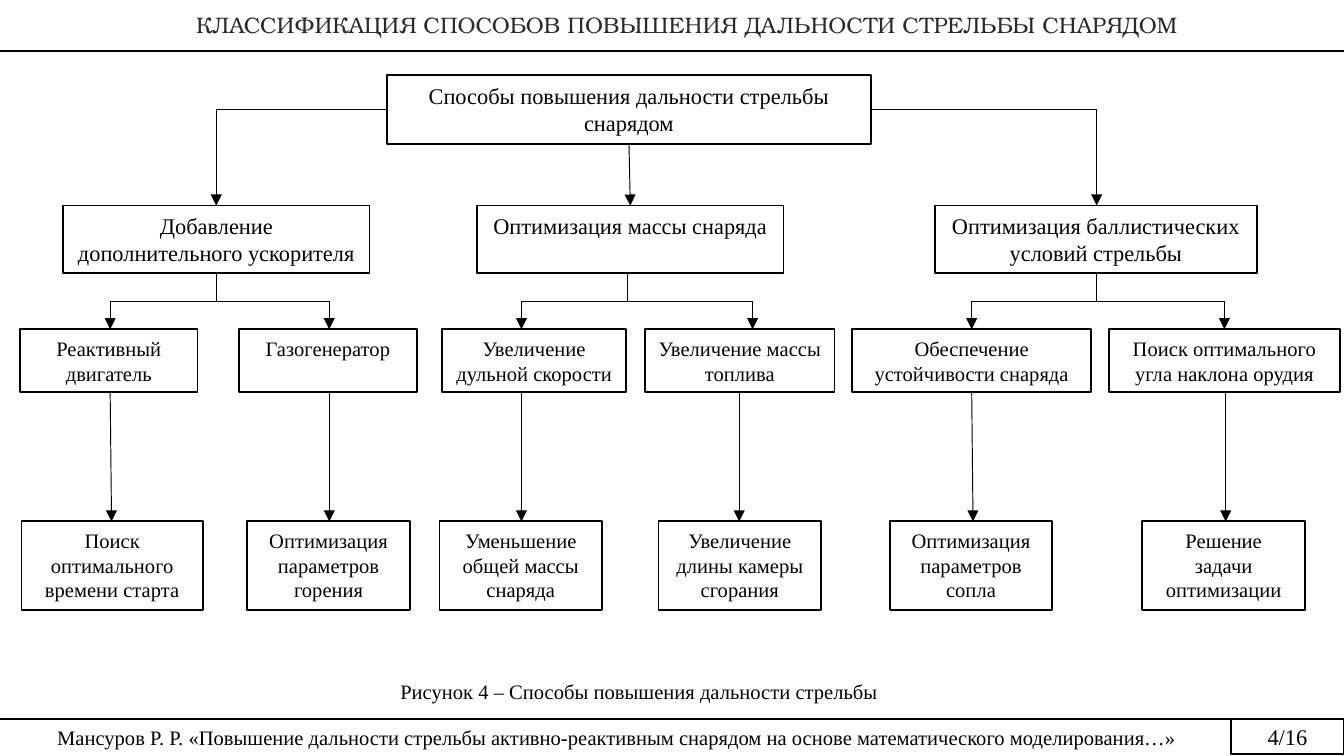
"""Build a slide with a classification tree of ways to extend firing range."""
from lxml.etree import SubElement
from pptx import Presentation
from pptx.dml.color import RGBColor
from pptx.enum.shapes import MSO_CONNECTOR, MSO_SHAPE
from pptx.enum.text import MSO_ANCHOR, PP_ALIGN
from pptx.oxml.ns import qn
from pptx.util import Inches, Pt

TITLE = "КЛАССИФИКАЦИЯ СПОСОБОВ ПОВЫШЕНИЯ ДАЛЬНОСТИ СТРЕЛЬБЫ СНАРЯДОМ"
CAPTION = "Рисунок 4 – Способы повышения дальности стрельбы"
FOOTER = ("Мансуров Р. Р. «Повышение дальности стрельбы активно-реактивным "
          "снарядом на основе математического моделирования…»")
PAGE = "4/16"
ROOT = ("Способы повышения дальности стрельбы снарядом", 2.88, 3.6)

BRANCHES = [
    {"box": ("Добавление дополнительного ускорителя", 0.47, 2.28), "stem": 1.61,
     "methods": [("Реактивный двигатель", 0.15, 1.32),
                 ("Газогенератор", 1.78, 1.32)],
     "tasks": [("Поиск оптимального времени старта", 0.16, 1.35),
               ("Оптимизация параметров горения", 1.84, 1.21)],
     "drops": [(0.82, 0.82, 0.83), (2.45, 2.45, 2.45)]},
    {"box": ("Оптимизация массы снаряда", 3.55, 2.28), "stem": 4.67,
     "methods": [("Увеличение дульной скорости", 3.29, 1.37),
                 ("Увеличение массы топлива", 4.8, 1.41)],
     "tasks": [("Уменьшение общей массы снаряда", 3.27, 1.21),
               ("Увеличение длины камеры сгорания", 4.9, 1.21)],
     "drops": [(3.88, 3.88, 3.88), (5.6, 5.5, 5.5)]},
    {"box": ("Оптимизация баллистических\nусловий стрельбы", 6.96, 2.39), "stem": 8.16,
     "methods": [("Обеспечение устойчивости снаряда", 6.34, 1.78),
                 ("Поиск оптимального угла наклона орудия", 8.25, 1.72)],
     "tasks": [("Оптимизация параметров сопла", 6.62, 1.21),
               ("Решение задачи оптимизации", 8.5, 1.21)],
     "drops": [(7.23, 7.23, 7.24), (9.11, 9.12, 9.12)]},
]

ROOT_ROW, BRANCH_ROW = (0.56, 0.51), (1.53, 0.5)
METHOD_ROW, TASK_ROW = (2.45, 0.47), (3.88, 0.66)
SERIF = "Times New Roman"


def rgb(value):
    return RGBColor.from_string(value)


def write(sp, text, size, font=SERIF, color="000000", align=PP_ALIGN.CENTER,
          anchor=MSO_ANCHOR.TOP, inset=(0.1, 0.05)):
    tf = sp.text_frame
    tf.word_wrap = True
    tf.vertical_anchor = anchor
    tf.margin_left = tf.margin_right = Inches(inset[0])
    tf.margin_top = tf.margin_bottom = Inches(inset[1])
    tf.text = text
    for p in tf.paragraphs:
        p.alignment = align
        for r in p.runs:
            r.font.size, r.font.name = Pt(size), font
            r.font.color.rgb = rgb(color)
    return tf.paragraphs[0]


def add_rect(s, left, top, width, height, fill="FFFFFF", line=1):
    sp = s.shapes.add_shape(MSO_SHAPE.RECTANGLE, *map(Inches, (left, top, width, height)))
    sp.shadow.inherit = False
    if fill:
        sp.fill.solid()
        sp.fill.fore_color.rgb = rgb(fill)
    else:
        sp.fill.background()
    if line:
        sp.line.color.rgb, sp.line.width = rgb("000000"), Pt(line)
    else:
        sp.line.fill.background()
    return sp


def add_node(s, node, row, size):
    text, left, width = node
    write(add_rect(s, left, row[0], width, row[1]), text, size)


def add_line(s, start, end, kind=MSO_CONNECTOR.STRAIGHT, width=0.5, arrow=True):
    cx = s.shapes.add_connector(kind, *map(Inches, (*start, *end)))
    cx.line.color.rgb, cx.line.width = rgb("000000"), Pt(width)
    if arrow:
        SubElement(cx.element.spPr.find(qn("a:ln")), qn("a:tailEnd"), type="triangle")
    SubElement(cx.element.spPr, qn("a:effectLst"))
    return cx


def add_corner(s, start, end):
    cx = add_line(s, start, end, MSO_CONNECTOR.ELBOW)
    cx.element.spPr.find(qn("a:prstGeom")).set("prst", "bentConnector2")


def add_fork(s, start, end):
    mid_x, mid_y = (start[0] + end[0]) / 2, (start[1] + end[1]) / 2
    half_w, half_h = (end[1] - start[1]) / 2, abs(end[0] - start[0]) / 2
    cx = add_line(s, (mid_x - half_w, mid_y - half_h),
                  (mid_x + half_w, mid_y + half_h), MSO_CONNECTOR.ELBOW)
    xfrm = cx.element.spPr.find(qn("a:xfrm"))
    if end[0] < start[0]:
        xfrm.set("rot", "5400000")
    else:
        xfrm.set("rot", "16200000")
        xfrm.set("flipH", "1")


def add_frame(s):
    p = write(add_rect(s, 0, 0, 10, 0.37, line=None), TITLE, 12, "TeX Gyre Bonum",
              "292929", anchor=MSO_ANCHOR.MIDDLE, inset=(0.01, 0.01))
    p._p.get_or_add_pPr().set("indent", str(Inches(0.23)))
    add_line(s, (0, 0.38), (10, 0.38), width=0.75, arrow=False)
    add_line(s, (0, 5.35), (9.18, 5.35), width=0.75, arrow=False)
    sp = s.shapes.add_textbox(*map(Inches, (0, 5.36, 9.18, 0.26)))
    p = write(sp, FOOTER, 11, anchor=MSO_ANCHOR.MIDDLE, inset=(0.07, 0.04))
    p.space_after = Pt(4.5)
    write(add_rect(s, 9.16, 5.35, 0.84, 0.26, fill=None, line=0.75), PAGE, 12,
          anchor=MSO_ANCHOR.MIDDLE, inset=(0.07, 0.04))
    sp = s.shapes.add_textbox(*map(Inches, (2.88, 5, 5.08, 0.29)))
    write(sp, CAPTION, 11, align=PP_ALIGN.LEFT)


def add_tree(s):
    add_node(s, ROOT, ROOT_ROW, 12)
    root_left, root_right = ROOT[1], ROOT[1] + ROOT[2]
    root_y, root_bottom = ROOT_ROW[0] + ROOT_ROW[1] / 2, sum(ROOT_ROW)
    add_corner(s, (root_left, root_y), (BRANCHES[0]["stem"], BRANCH_ROW[0]))
    add_line(s, (4.68, root_bottom), (4.69, BRANCH_ROW[0]))
    add_corner(s, (root_right, root_y), (BRANCHES[-1]["stem"], BRANCH_ROW[0]))
    for branch in BRANCHES:
        add_node(s, branch["box"], BRANCH_ROW, 12)
        columns = zip(branch["methods"], branch["tasks"], branch["drops"])
        for method, task, (fork_x, start_x, end_x) in columns:
            add_node(s, method, METHOD_ROW, 11)
            add_node(s, task, TASK_ROW, 11)
            add_fork(s, (branch["stem"], sum(BRANCH_ROW)), (fork_x, METHOD_ROW[0]))
            add_line(s, (start_x, sum(METHOD_ROW)), (end_x, TASK_ROW[0]))


def main():
    prs = Presentation()
    prs.slide_width, prs.slide_height = Inches(10), Inches(10 * 9 / 16)
    s = prs.slides.add_slide(prs.slide_layouts[6])
    add_frame(s)
    add_tree(s)
    prs.save("out.pptx")


if __name__ == "__main__":
    main()
